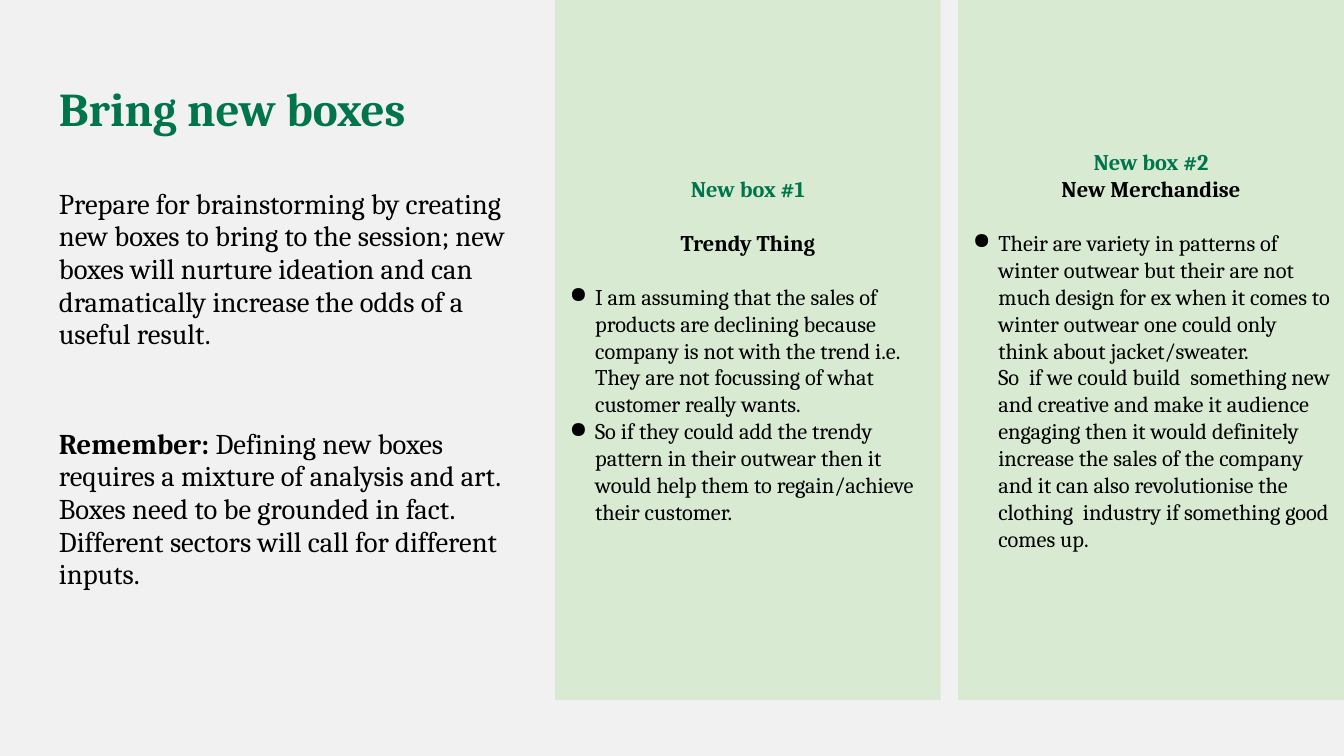
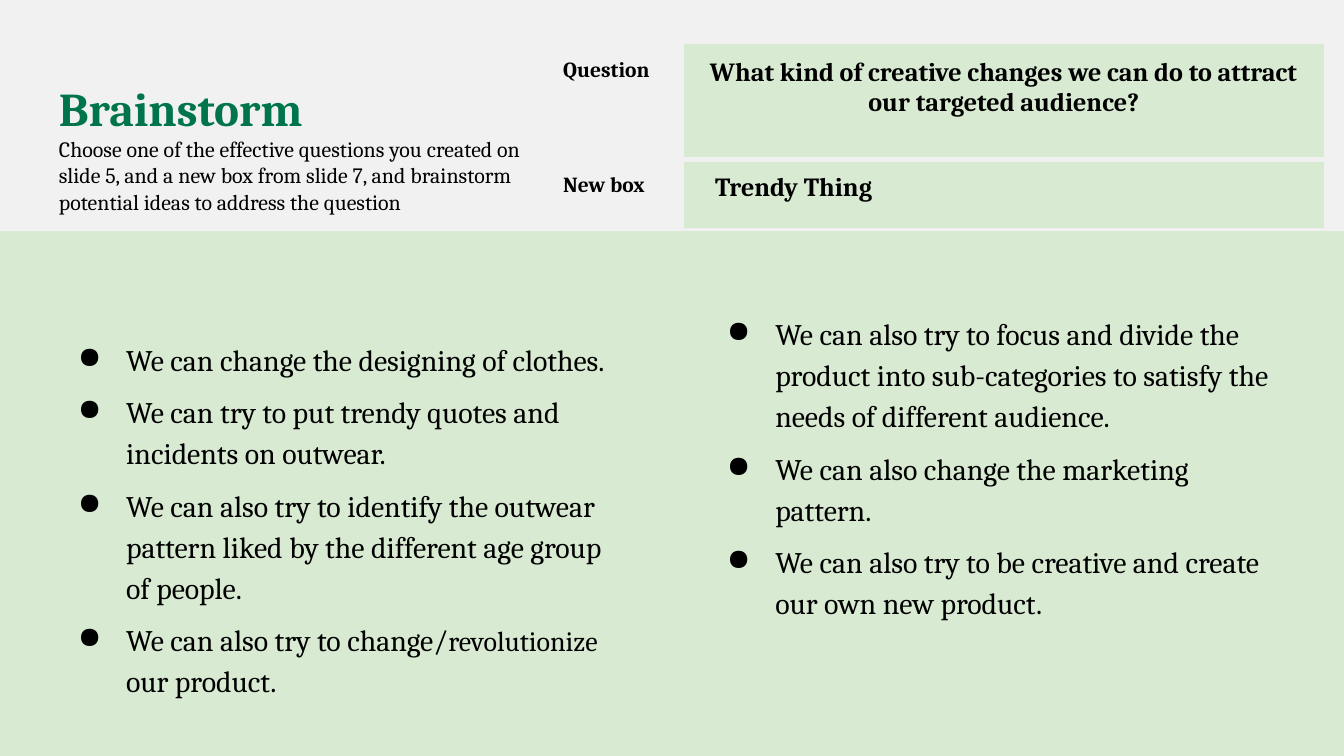
from dataclasses import dataclass

from lxml.etree import SubElement
from pptx import Presentation
from pptx.dml.color import RGBColor
from pptx.enum.shapes import MSO_SHAPE as Shape
from pptx.enum.text import MSO_ANCHOR as Anchor, PP_ALIGN as Align
from pptx.oxml.ns import qn
from pptx.util import Inches, Pt


@dataclass(frozen=True)
class Theme:
    font: str = "Cambria"
    background: str = "F1F1F1"
    panel: str = "D9EAD3"
    accent: str = "00754B"
    ink: str = "000000"
    title: float = 25.2
    body: float = 15.3
    idea: float = 16
    idea_small: float = 15
    answer: float = 14
    card: float = 12
    subtitle: float = 11.7
    label: float = 11.5
    inset: float = 0.1
    card_gap: float = 14.4
    no_grid: str = "{2D5ABB26-0587-4C30-8999-92F81FD0307C}"


THEME = Theme()


def color(value):
    return RGBColor.from_string(value)


def write(frame, text, size, bold=False, ink=THEME.ink, align=Align.LEFT,
          spacing=None, before=0, after=0, indent=None, bullet=False):
    paragraph = frame.paragraphs[0]
    if paragraph.runs:
        paragraph = frame.add_paragraph()
    paragraph.alignment = align
    paragraph.space_before, paragraph.space_after = Pt(before), Pt(after)
    if spacing:
        paragraph.line_spacing = spacing
    if indent:
        properties = paragraph._p.get_or_add_pPr()
        properties.set("marL", str(Inches(indent[0])))
        properties.set("indent", str(Inches(indent[1])))
        if bullet:
            bullet_color = SubElement(properties, qn("a:buClr"))
            SubElement(bullet_color, qn("a:srgbClr"), val=ink)
            SubElement(properties, qn("a:buChar"), char="●")
    pieces = [(text, {})] if isinstance(text, str) else text
    for content, changes in pieces:
        for number, line in enumerate(content.split("\n")):
            if number:
                paragraph.add_line_break()
            run = paragraph.add_run()
            run.text = line
            run.font.name = THEME.font
            run.font.size = Pt(changes.get("size", size))
            run.font.bold = changes.get("bold", bold)
            run.font.color.rgb = color(ink)


class Deck:
    def __init__(self, theme):
        self.theme = theme
        self.presentation = Presentation()
        self.presentation.slide_width = Inches(10)
        self.presentation.slide_height = Inches(5.625)
        self.slide = None

    def add_slide(self):
        self.slide = self.presentation.slides.add_slide(self.presentation.slide_layouts[6])
        fill = self.slide.background.fill
        fill.solid()
        fill.fore_color.rgb = color(self.theme.background)

    def prepare(self, frame, anchor, bottom=None):
        inset = Inches(self.theme.inset)
        frame.word_wrap = True
        frame.vertical_anchor = anchor
        frame.margin_left = frame.margin_right = frame.margin_top = inset
        frame.margin_bottom = Inches(bottom) if bottom else inset
        return frame

    def text(self, place, anchor=Anchor.MIDDLE, bottom=None):
        shape = self.slide.shapes.add_textbox(*map(Inches, place))
        return self.prepare(shape.text_frame, anchor, bottom)

    def title(self, text, width):
        frame = self.text((0.34, 0.49, width, 0.63), Anchor.TOP)
        write(frame, text, self.theme.title, bold=True, ink=self.theme.accent)
        return frame

    def panel(self, place):
        shape = self.slide.shapes.add_shape(Shape.RECTANGLE, *map(Inches, place))
        shape.shadow.inherit = False
        shape.fill.solid()
        shape.fill.fore_color.rgb = color(self.theme.panel)
        shape.line.fill.background()
        return self.prepare(shape.text_frame, Anchor.MIDDLE)

    def card(self, left, heading, name, name_gap, points):
        theme = self.theme
        frame = self.panel((left, 0, 2.87, 5.21))
        write(frame, heading, theme.card, bold=True, ink=theme.accent, align=Align.CENTER)
        write(frame, name, theme.card, bold=True, align=Align.CENTER, before=name_gap)
        for number, point in enumerate(points):
            write(frame, point, theme.card, indent=(0.2, -0.19), bullet=True,
                  before=0 if number else theme.card_gap)

    def ideas(self, left, height, points):
        frame = self.text((left, 2.15, 4.41, height), bottom=0.49)
        for number, point in enumerate(points):
            write(frame, point, self.theme.idea, spacing=1.15, indent=(0.5, -0.36),
                  bullet=True, before=6 if number else 0)

    def border(self, cell, side):
        line = SubElement(cell._tc.get_or_add_tcPr(), qn(f"a:{side}"), w=str(Pt(3)))
        fill = SubElement(line, qn("a:solidFill"))
        SubElement(fill, qn("a:srgbClr"), val=self.theme.background)

    def table(self, place, widths, heights, rows):
        table = self.slide.shapes.add_table(
            len(rows), len(widths), *map(Inches, place),
            Inches(sum(widths)), Inches(sum(heights))).table
        table.first_row = table.horz_banding = False
        table._tbl.tblPr[0].text = self.theme.no_grid
        for column, width in zip(table.columns, widths):
            column.width = Inches(width)
        for number, (label, answer, layout) in enumerate(rows):
            table.rows[number].height = Inches(heights[number])
            label_cell, answer_cell = table.cell(number, 0), table.cell(number, 1)
            self.border(answer_cell, "lnT" if number else "lnB")
            label_cell.fill.background()
            answer_cell.fill.solid()
            answer_cell.fill.fore_color.rgb = color(self.theme.panel)
            for cell in (label_cell, answer_cell):
                cell.margin_left = cell.margin_right = Inches(self.theme.inset)
                cell.margin_top = cell.margin_bottom = Inches(self.theme.inset)
            write(label_cell.text_frame, label, self.theme.label, bold=True)
            write(answer_cell.text_frame, answer, self.theme.answer, bold=True, **layout)


def build_new_boxes(deck):
    theme = deck.theme
    deck.add_slide()
    deck.title("Bring new boxes", 9.32)
    body = deck.text((0.34, 1.26, 3.66, 3.28))
    write(body, "Prepare for brainstorming by creating new boxes to bring to the session; "
          "new boxes will nurture ideation and can dramatically increase the odds of a "
          "useful result.", theme.body, spacing=0.95)
    write(body, [
        ("Remember:", {"bold": True}),
        (" Defining new boxes requires a mixture of analysis and art. Boxes need to be "
         "grounded in fact. Different sectors will call for different inputs.", {}),
    ], theme.body, spacing=0.95, before=41.3, after=12)
    cards = [
        ("New box #1", "Trendy Thing", theme.card_gap, [
            "I am assuming that the sales of products are declining because company is not "
            "with the trend i.e. They are not focussing of what customer really wants.",
            "So if they could add the trendy pattern in their outwear then it would help "
            "them to regain/achieve their customer.",
        ]),
        ("New box #2", "New Merchandise", 0, [
            "Their are variety in patterns of winter outwear but their are not much design "
            "for ex when it comes to winter outwear one could only think about "
            "jacket/sweater.\nSo  if we could build  something new and creative and make it "
            "audience engaging then it would definitely increase the sales of the company "
            "and it can also revolutionise the clothing  industry if something good comes up.",
        ]),
    ]
    for number, content in enumerate(cards):
        deck.card(4.13 + 3 * number, *content)


def build_brainstorm(deck):
    theme = deck.theme
    deck.add_slide()
    deck.panel((0, 1.72, 10, 3.91))
    deck.ideas(0.34, 3.79, [
        "We can change the designing of clothes.",
        "We can try to put trendy quotes and incidents on outwear.",
        "We can also try to identify the outwear pattern liked by the different age group "
        "of people.",
        [("We can also try to change/", {}),
         ("revolutionize", {"size": theme.idea_small}),
         (" our product.", {})],
    ])
    deck.ideas(5.17, 3.02, [
        "We can also try to focus and divide the product into sub-categories to satisfy "
        "the needs of different audience.",
        "We can also change the marketing pattern.",
        "We can also try to be creative and create our own new product.",
    ])
    deck.table((4.09, 0.33), (1, 4.76), (0.86, 0.51), [
        ("Question", "What kind of creative changes we can do to attract our targeted "
         "audience?", {"align": Align.CENTER}),
        ("New box", "Trendy Thing", {"indent": (0.13, 0)}),
    ])
    title = deck.title("Brainstorm", 3.8)
    write(title, "Choose one of the effective questions you created on slide 5, and a new "
          "box from slide 7, and brainstorm potential ideas to address the question",
          theme.subtitle)


def main():
    deck = Deck(THEME)
    build_new_boxes(deck)
    build_brainstorm(deck)
    deck.presentation.save("out.pptx")


if __name__ == "__main__":
    main()
